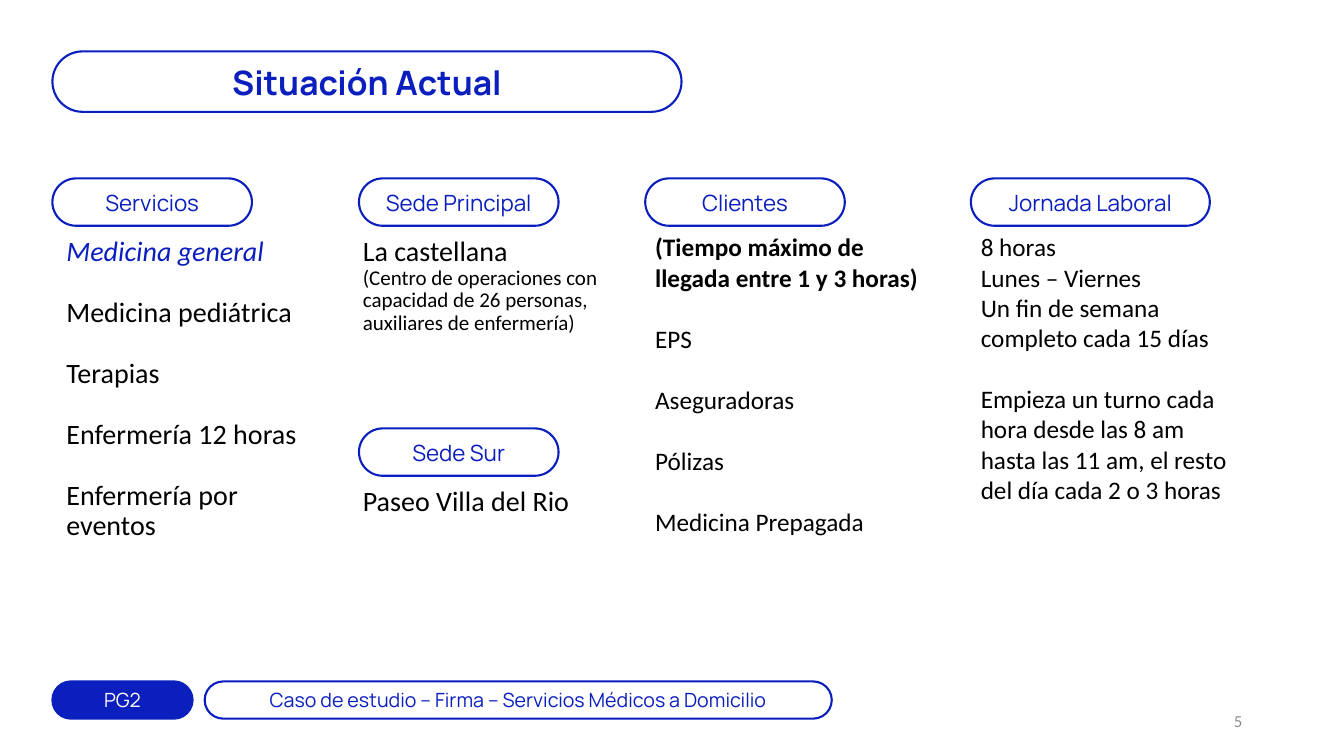
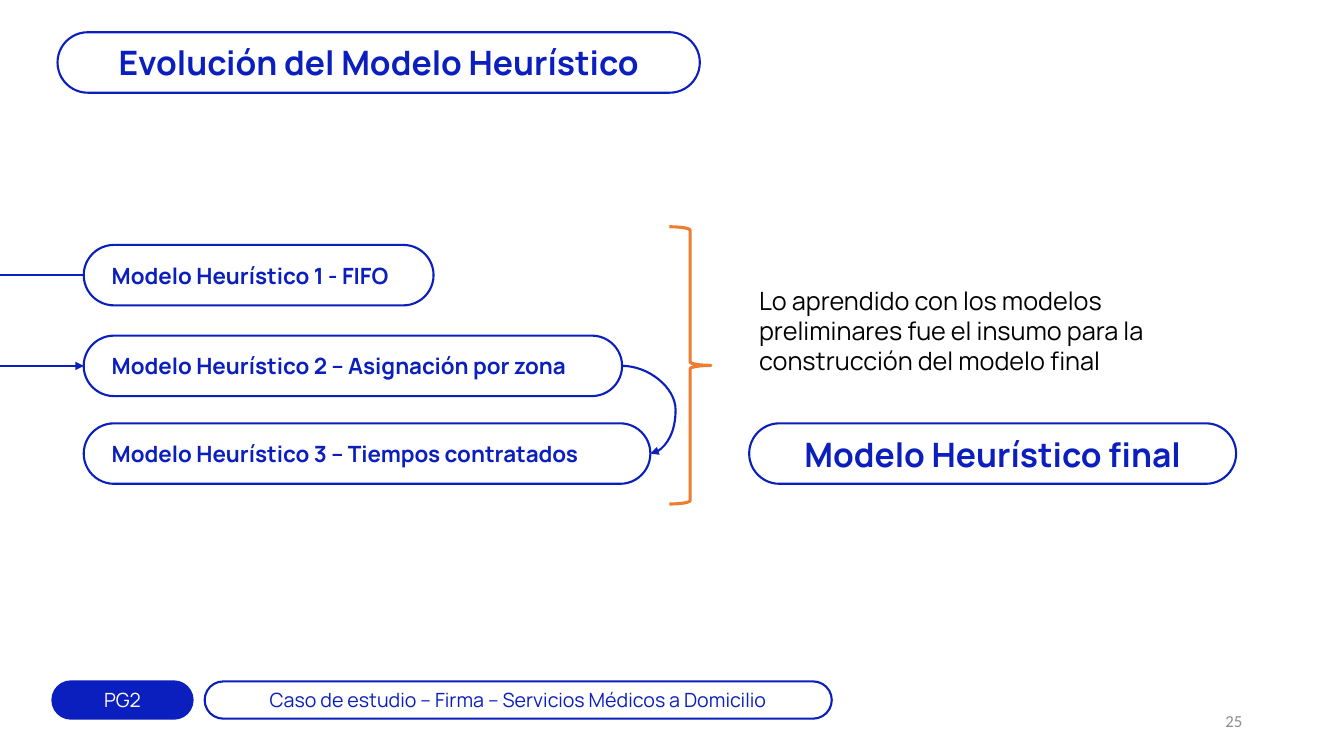
from dataclasses import dataclass
from typing import Optional

from lxml.etree import SubElement
from pptx import Presentation
from pptx.dml.color import RGBColor
from pptx.enum.shapes import MSO_CONNECTOR, MSO_SHAPE
from pptx.enum.text import MSO_ANCHOR, PP_ALIGN
from pptx.oxml.ns import qn
from pptx.util import Inches, Pt

SLIDE_WIDTH, SLIDE_HEIGHT = Inches(13.33), Inches(7.5)
COLORS = {
    "blue": "0B1EBE",
    "cream": "FFFBF9",
    "black": "000000",
    "gray": "8C8C8C",
    "orange": "ED7D31",
}
HEADING_FONT, BODY_FONT = "Manrope", "Calibri"
LINE_GAP = 22
LABEL_TOP, LABEL_WIDTH, LABEL_HEIGHT = 23.6, 14.85, 6.27
BODY_TOP = 30
SITE_DROP = 33.07
PILL_HEIGHT = 8
MODEL_LEFT = 6.23
FINAL_LEFT, FINAL_TOP = 55.74, 56


@dataclass(frozen=True)
class Area:
    """Position and size in percent of the slide."""
    left: float
    top: float
    width: float
    height: float

    def emu(self) -> tuple:
        return (across(self.left), down(self.top),
                across(self.width), down(self.height))


@dataclass(frozen=True)
class Line:
    text: str
    size: float = 18
    gap: float = 0
    bold: bool = False
    italic: bool = False
    color: str = "black"


@dataclass(frozen=True)
class Label:
    text: str
    left: float
    top: float = LABEL_TOP
    width: float = LABEL_WIDTH


@dataclass(frozen=True)
class TextBlock:
    area: Area
    lines: tuple
    font: str = BODY_FONT
    spacing: float = 1.0
    pad: float = 0.05
    align: PP_ALIGN = PP_ALIGN.LEFT
    anchor: MSO_ANCHOR = MSO_ANCHOR.TOP


@dataclass(frozen=True)
class Model:
    text: str
    top: float
    width: float


def across(percent: float) -> int:
    return round(SLIDE_WIDTH * percent / 100)


def down(percent: float) -> int:
    return round(SLIDE_HEIGHT * percent / 100)


def rgb(name: str) -> RGBColor:
    return RGBColor.from_string(COLORS[name])


def prepare_frame(shape, pad: float, anchor: MSO_ANCHOR):
    frame = shape.text_frame
    frame.word_wrap = True
    frame.vertical_anchor = anchor
    frame.margin_left = frame.margin_right = Inches(0.1)
    frame.margin_top = frame.margin_bottom = Inches(pad)
    return frame


def write_line(para, line: Line, font: str, align: PP_ALIGN) -> None:
    para.text = line.text
    para.alignment = align
    para.font.name = font
    para.font.size = Pt(line.size)
    para.font.bold = line.bold
    para.font.italic = line.italic
    para.font.color.rgb = rgb(line.color)


def add_pill(page, area: Area, line: Line, fill: Optional[str] = None,
             align: PP_ALIGN = PP_ALIGN.CENTER, indent: float = 0):
    pill = page.shapes.add_shape(MSO_SHAPE.ROUNDED_RECTANGLE, *area.emu())
    pill.adjustments[0] = 0.5
    pill.shadow.inherit = False
    if fill:
        pill.fill.solid()
        pill.fill.fore_color.rgb = rgb(fill)
    else:
        pill.fill.background()
    pill.line.color.rgb = rgb("blue")
    pill.line.width = Pt(1.5)
    frame = prepare_frame(pill, 0.1, MSO_ANCHOR.MIDDLE)
    frame.margin_left = Inches(0.1 + indent)
    write_line(frame.paragraphs[0], line, HEADING_FONT, align)
    return pill


def add_text(page, block: TextBlock) -> None:
    box = page.shapes.add_textbox(*block.area.emu())
    frame = prepare_frame(box, block.pad, block.anchor)
    for index, line in enumerate(block.lines):
        para = frame.add_paragraph() if index else frame.paragraphs[0]
        para.line_spacing = block.spacing
        if line.gap:
            para.space_before = Pt(line.gap)
        write_line(para, line, block.font, block.align)


def add_link(page, kind: MSO_CONNECTOR, start: tuple, end: tuple, arrow: bool):
    link = page.shapes.add_connector(
        kind, across(start[0]), down(start[1]), across(end[0]), down(end[1]))
    link.line.color.rgb = rgb("blue")
    link.line.width = Pt(1.5)
    if arrow:
        SubElement(link.line._get_or_add_ln(), qn("a:tailEnd"), type="triangle")
    SubElement(link._element.spPr, qn("a:effectLst"))
    return link


def add_brace(page, area: Area) -> None:
    brace = page.shapes.add_shape(MSO_SHAPE.RIGHT_BRACE, *area.emu())
    brace.shadow.inherit = False
    brace.fill.background()
    brace.line.color.rgb = rgb("orange")
    brace.line.width = Pt(2.25)


def add_page(deck, title: str, title_area: Area, number: int):
    page = deck.slides.add_slide(deck.slide_layouts[6])
    add_pill(page, title_area, Line(title, 24, bold=True, color="blue"))
    add_pill(page, Area(3.9, 90.13, 10.43, 4.93),
             Line("PG2", 14, color="cream"), fill="blue")
    add_pill(page, Area(15.23, 90.13, 46.66, 4.93),
             Line("Caso de estudio – Firma – Servicios Médicos a Domicilio",
                  14, color="blue"))
    add_text(page, TextBlock(Area(70.67, 92.67, 22.51, 5.33),
                             (Line(str(number), 12, color="gray"),),
                             align=PP_ALIGN.RIGHT, anchor=MSO_ANCHOR.MIDDLE))
    return page


def build_situation(deck) -> None:
    page = add_page(deck, "Situación Actual", Area(3.9, 6.8, 46.81, PILL_HEIGHT), 5)
    labels = (
        Label("Servicios", 3.9),
        Label("Sede Principal", 26.71),
        Label("Sede Sur", 26.71, LABEL_TOP + SITE_DROP),
        Label("Clientes", 48.01),
        Label("Jornada Laboral", 72.24, width=17.78),
    )
    for label in labels:
        add_pill(page, Area(label.left, label.top, label.width, LABEL_HEIGHT),
                 Line(label.text, 16, color="blue"))

    services = ("Medicina pediátrica", "Terapias", "Enfermería 12 horas",
                "Enfermería por eventos")
    clients = ("EPS", "Aseguradoras", "Pólizas", "Medicina Prepagada")
    blocks = (
        TextBlock(Area(4.2, BODY_TOP, 19.35, 51.2),
                  (Line("Medicina general", 20, italic=True, color="blue"),
                   *(Line(text, 20, LINE_GAP) for text in services)),
                  spacing=0.9, pad=0.1),
        TextBlock(Area(26.26, BODY_TOP, 19.35, 18),
                  (Line("La castellana", 20),
                   Line("(Centro de operaciones con capacidad de 26 personas, "
                        "auxiliares de enfermería)", 15)),
                  spacing=0.9, pad=0.1),
        TextBlock(Area(26.26, BODY_TOP + SITE_DROP, 19.35, 8),
                  (Line("Paseo Villa del Rio", 20),), spacing=0.9, pad=0.1),
        TextBlock(Area(48.01, BODY_TOP, 22.51, 45.73),
                  (Line("(Tiempo máximo de llegada entre 1 y 3 horas)", bold=True),
                   *(Line(text, gap=LINE_GAP) for text in clients))),
        TextBlock(Area(72.24, BODY_TOP, 20.26, 37.73),
                  (Line("8 horas"),
                   Line("Lunes – Viernes"),
                   Line("Un fin de semana completo cada 15 días"),
                   Line("Empieza un turno cada hora desde las 8 am hasta las "
                        "11 am, el resto del día cada 2 o 3 horas", gap=LINE_GAP))),
    )
    for block in blocks:
        add_text(page, block)


def build_evolution(deck) -> None:
    page = add_page(deck, "Evolución del Modelo Heurístico",
                    Area(4.28, 4.27, 47.79, PILL_HEIGHT), 25)
    models = (
        Model("Modelo Heurístico 1 - FIFO", 32.4, 26.03),
        Model("Modelo Heurístico 2 – Asignación por zona", 44.4, 40.06),
        Model("Modelo Heurístico 3 – Tiempos contratados", FINAL_TOP, 42.16),
    )
    for model in models:
        add_pill(page, Area(MODEL_LEFT, model.top, model.width, PILL_HEIGHT),
                 Line(model.text, 16, bold=True, color="blue"),
                 align=PP_ALIGN.LEFT, indent=0.09)

    first, second, third = (model.top + PILL_HEIGHT / 2 for model in models)
    for middle, arrow in ((first, False), (second, True)):
        add_link(page, MSO_CONNECTOR.STRAIGHT, (0, middle), (MODEL_LEFT, middle), arrow)
    curve = add_link(page, MSO_CONNECTOR.CURVE,
                     (MODEL_LEFT + models[1].width, second),
                     (MODEL_LEFT + models[2].width, third), True)
    bends = curve._element.spPr.find(qn("a:prstGeom")).get_or_add_avLst()
    SubElement(bends, qn("a:gd"), name="adj1", fmla="val 189400")

    add_brace(page, Area(49.81, 30, 3.08, 36.67))
    add_text(page, TextBlock(Area(FINAL_LEFT, 36.4, 35.18, 12),
                             (Line("Lo aprendido con los modelos preliminares fue el "
                                   "insumo para la construcción del modelo final"),),
                             font=HEADING_FONT, pad=0.1))
    add_pill(page, Area(FINAL_LEFT, FINAL_TOP, 36.23, PILL_HEIGHT),
             Line("Modelo Heurístico final", 24, bold=True, color="blue"))


def main() -> None:
    deck = Presentation()
    deck.slide_width, deck.slide_height = SLIDE_WIDTH, SLIDE_HEIGHT
    build_situation(deck)
    build_evolution(deck)
    deck.save("out.pptx")


if __name__ == "__main__":
    main()
